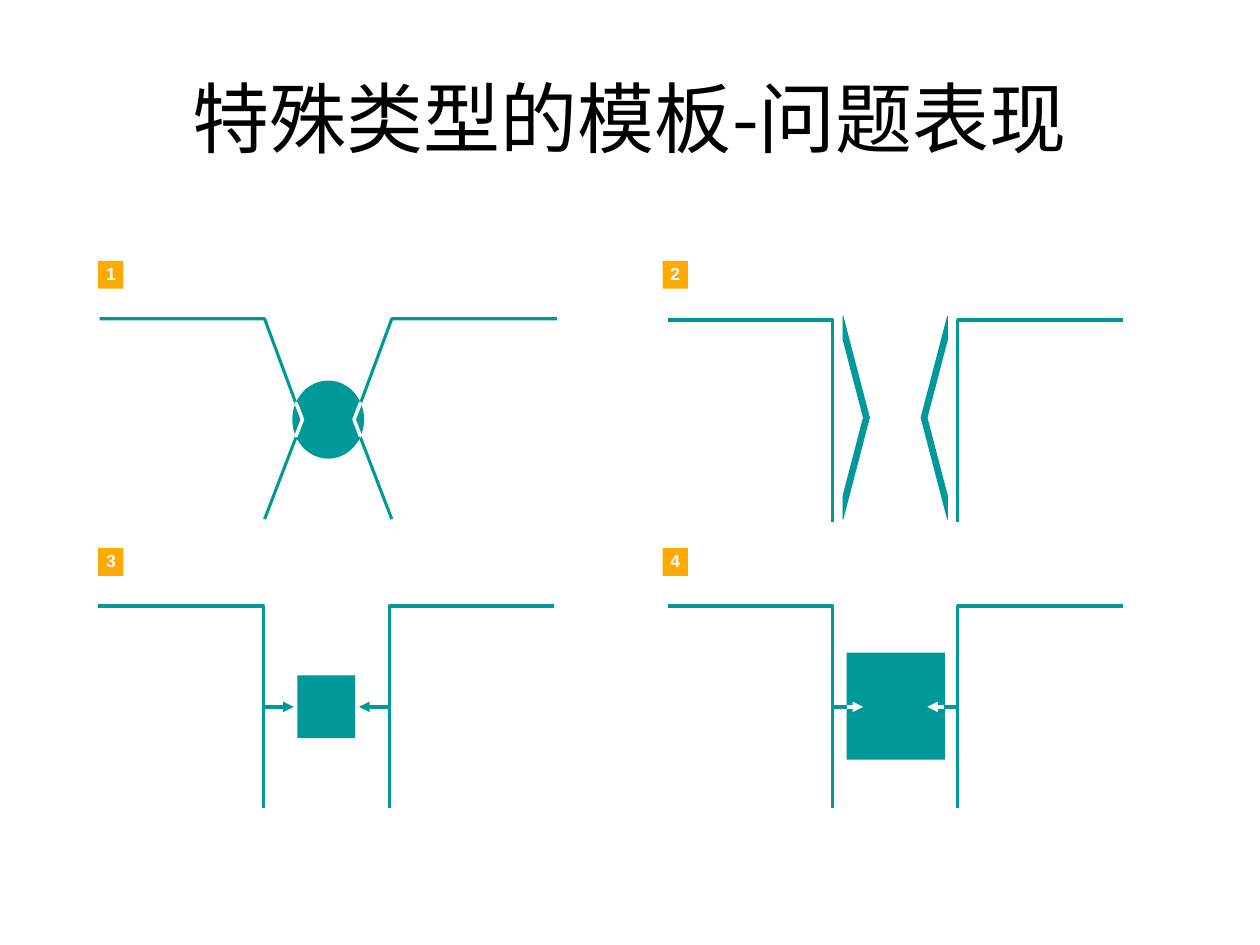
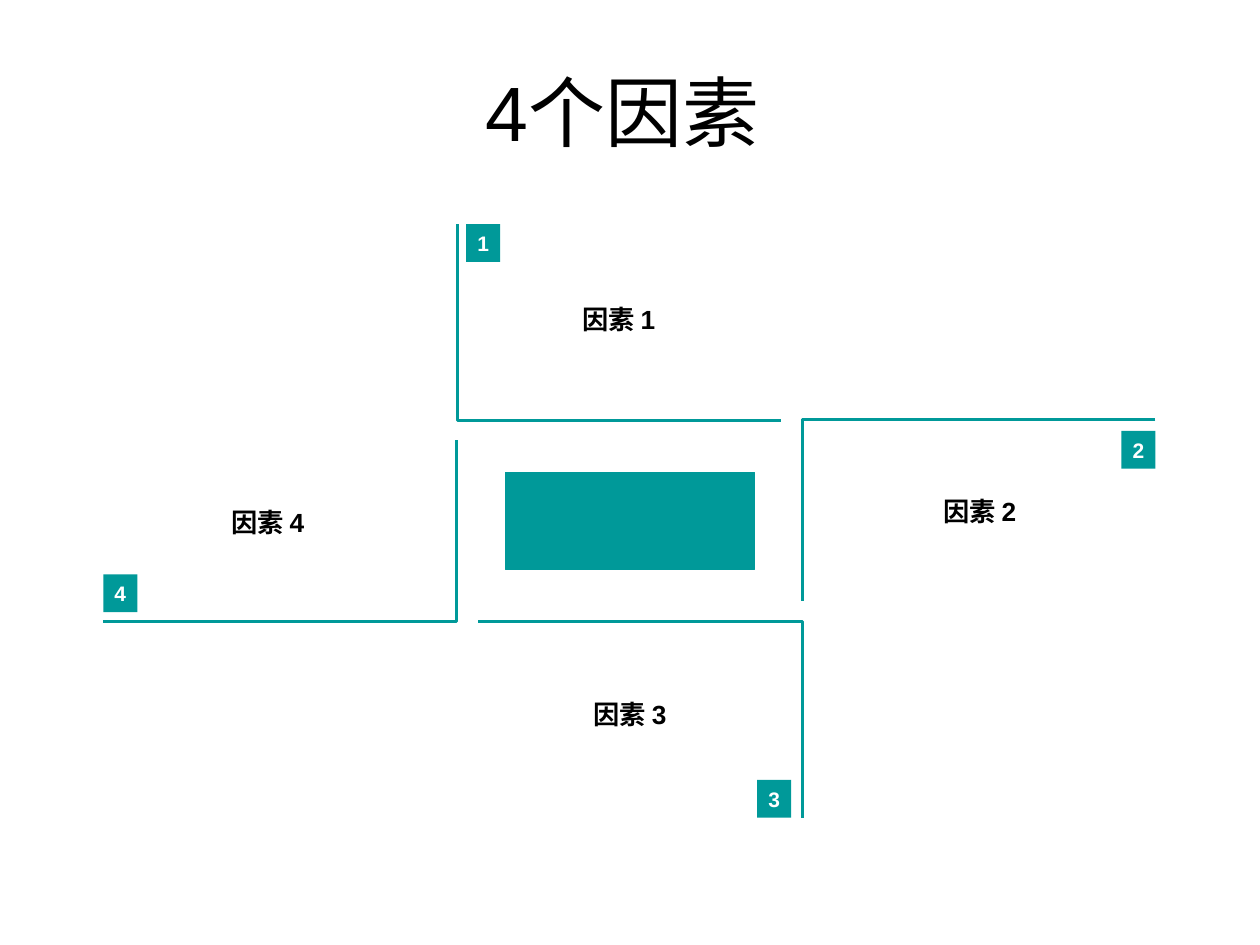
from dataclasses import dataclass

import lxml.etree
import pptx
import pptx.dml.color
import pptx.enum.shapes
import pptx.enum.text
import pptx.oxml.ns
import pptx.util
from pptx.util import Inches

RGBColor = pptx.dml.color.RGBColor
SHAPE = pptx.enum.shapes.MSO_SHAPE
qn = pptx.oxml.ns.qn

TEAL = RGBColor(0x00, 0x99, 0x99)
PALE = RGBColor(0xBB, 0xE0, 0xE3)
ORANGE = RGBColor(0xFF, 0xAA, 0x00)
WHITE = RGBColor(0xFF, 0xFF, 0xFF)
BLACK = RGBColor(0x00, 0x00, 0x00)

LATIN = "Arial"
CJK = "Noto Sans CJK SC"
OUTLINE = 1.75

Point = tuple[float, float]
Box = tuple[float, float, float, float]


@dataclass
class Panel:
    """A numbered sketch; mirror_sum is left x plus its mirrored right x."""
    number: str
    badge: Point
    mirror_sum: float
    wall: list[Point]


@dataclass
class Factor:
    number: str
    bracket: list[Point]
    badge: Point
    label: Box


PANELS = [
    Panel("1", (0.78, 2.07), 5.21,
          [(0.79, 2.53), (2.1, 2.53), (2.4, 3.34), (2.1, 4.12)]),
    Panel("2", (5.26, 2.07), 14.21, [(6.61, 4.14), (6.61, 2.54), (5.3, 2.54)]),
    Panel("3", (0.78, 4.35), 5.18, [(2.09, 6.41), (2.09, 4.81), (0.78, 4.81)]),
    Panel("4", (5.26, 4.35), 14.21, [(6.61, 6.41), (6.61, 4.81), (5.3, 4.81)]),
]

FACTORS = [
    Factor("1", [(3.63, 1.78), (3.63, 3.34), (6.2, 3.34)],
           (3.7, 1.78), (3.63, 2.41, 2.56, 0.25)),
    Factor("2", [(9.17, 3.33), (6.37, 3.33), (6.37, 4.77)],
           (8.9, 3.42), (7.16, 3.93, 1.23, 0.25)),
    Factor("3", [(6.37, 6.49), (6.37, 4.93), (3.79, 4.93)],
           (6.01, 6.19), (3.72, 5.54, 2.56, 0.25)),
    Factor("4", [(0.82, 4.93), (3.62, 4.93), (3.62, 3.49)],
           (0.82, 4.56), (1.51, 4.02, 1.23, 0.25)),
]


def inches(values) -> list[int]:
    return [Inches(v) for v in values]


def write(sp, text: str, *, size: float, color: RGBColor = BLACK, bold: bool = False,
          font: str = LATIN, inset: float = 0, wrap: bool = True,
          spacing: float | None = None) -> None:
    tf = sp.text_frame
    tf.word_wrap = wrap
    tf.vertical_anchor = pptx.enum.text.MSO_ANCHOR.MIDDLE
    tf.margin_left = tf.margin_right = tf.margin_top = tf.margin_bottom = Inches(inset)
    p = tf.paragraphs[0]
    p.alignment = pptx.enum.text.PP_ALIGN.CENTER
    if spacing:
        p.line_spacing = spacing
    r = p.add_run()
    r.text = text
    r.font.name = font
    r.font.size = pptx.util.Pt(size)
    r.font.bold = bold
    r.font.color.rgb = color
    ea = lxml.etree.SubElement(r.font._element, qn("a:ea"))
    ea.set("typeface", CJK)


def add_title(shapes, text: str, box: Box, font: str = LATIN) -> None:
    write(shapes.add_textbox(*inches(box)), text, size=44, font=font, inset=0.05)


def add_solid(shapes, kind, box: Box, fill: RGBColor = TEAL,
              line: RGBColor | None = None, width: float = 0.5):
    sp = shapes.add_shape(kind, *inches(box))
    sp.shadow.inherit = False
    sp.fill.solid()
    sp.fill.fore_color.rgb = fill
    if line is None:
        sp.line.fill.background()
    else:
        sp.line.color.rgb = line
        sp.line.width = pptx.util.Pt(width)
    return sp


def add_outline(shapes, points: list[Point]) -> None:
    start, *rest = [tuple(inches(point)) for point in points]
    builder = shapes.build_freeform(*start)
    builder.add_line_segments(rest, close=False)
    sp = builder.convert_to_shape()
    sp.shadow.inherit = False
    sp.fill.background()
    sp.line.color.rgb = TEAL
    sp.line.width = pptx.util.Pt(OUTLINE)


def add_walls(shapes, panel: Panel) -> None:
    add_outline(shapes, panel.wall)
    add_outline(shapes, [(panel.mirror_sum - x, y) for x, y in panel.wall])


def add_facing_pair(shapes, panel: Panel, kind, box: Box, adjustments: list[float],
                    **style) -> None:
    """Draw a shape pointing right and its counterpart pointing left."""
    left, top, width, height = box
    for x, angle in ((left, 0), (panel.mirror_sum - left - width, 180)):
        sp = add_solid(shapes, kind, (x, top, width, height), **style)
        sp.rotation = angle
        for i, value in enumerate(adjustments):
            sp.adjustments[i] = value


def add_inward_arrows(shapes, panel: Panel, start: float, end: float, y: float,
                      color: RGBColor = TEAL) -> None:
    for x1, x2 in ((start, end), (panel.mirror_sum - start, panel.mirror_sum - end)):
        cn = shapes.add_connector(pptx.enum.shapes.MSO_CONNECTOR.STRAIGHT,
                                  *inches((x1, y, x2, y)))
        cn.line.color.rgb = color
        cn.line.width = pptx.util.Pt(2)
        tail = lxml.etree.SubElement(cn.line._get_or_add_ln(), qn("a:tailEnd"))
        tail.set("type", "triangle")
        lxml.etree.SubElement(cn._element.spPr, qn("a:effectLst"))


def add_badge(shapes, number: str, at: Point, size: Point, fill: RGBColor,
              points: float, spacing: float | None = None) -> None:
    sp = add_solid(shapes, SHAPE.RECTANGLE, (*at, *size), fill)
    write(sp, number, size=points, color=WHITE, bold=True, wrap=False, spacing=spacing)


def build_problem_slide(s) -> None:
    shapes = s.shapes
    pinched, bent, narrow, wide = PANELS

    add_solid(shapes, SHAPE.OVAL, (2.32, 3.02, 0.57, 0.62))
    add_walls(shapes, pinched)
    add_facing_pair(shapes, pinched, SHAPE.CHEVRON, (2.35, 3.2, 0.05, 0.26), [1],
                    fill=PALE, line=WHITE, width=2)

    add_walls(shapes, narrow)
    add_inward_arrows(shapes, narrow, 2.1, 2.33, 5.61)
    add_solid(shapes, SHAPE.RECTANGLE, (2.36, 5.36, 0.46, 0.5))

    add_solid(shapes, SHAPE.RECTANGLE, (6.72, 5.18, 0.78, 0.85))
    add_walls(shapes, wide)
    add_inward_arrows(shapes, wide, 6.62, 6.85, 5.61)
    add_inward_arrows(shapes, wide, 6.72, 6.85, 5.61, WHITE)

    add_walls(shapes, bent)
    add_facing_pair(shapes, bent, SHAPE.NOTCHED_RIGHT_ARROW, (6.69, 2.51, 0.21, 1.61),
                    [0.775, 1], line=TEAL)

    for panel in PANELS:
        add_badge(shapes, panel.number, panel.badge, (0.2, 0.22), ORANGE, 10, 0.93)
    add_title(shapes, "特殊类型的模板-问题表现", (0.5, 0.3, 9, 1.25), CJK)


def build_factor_slide(s) -> None:
    shapes = s.shapes.add_group_shape().shapes
    for factor in FACTORS:
        add_outline(shapes, factor.bracket)
    add_solid(shapes, SHAPE.RECTANGLE, (4.01, 3.75, 1.98, 0.77), line=TEAL)
    for factor in FACTORS:
        add_badge(shapes, factor.number, factor.badge, (0.27, 0.3), TEAL, 12)
        label = shapes.add_textbox(*inches(factor.label))
        write(label, f"因素 {factor.number}", size=15, bold=True)
        label.text_frame.auto_size = pptx.enum.text.MSO_AUTO_SIZE.SHAPE_TO_FIT_TEXT
    add_title(s.shapes, "4个因素", (0.63, 0.5, 8.62, 0.75))


def main() -> None:
    prs = pptx.Presentation()
    prs.slide_width, prs.slide_height = Inches(10), Inches(7.5)
    for build in (build_problem_slide, build_factor_slide):
        build(prs.slides.add_slide(prs.slide_layouts[6]))
    prs.save("out.pptx")


if __name__ == "__main__":
    main()
